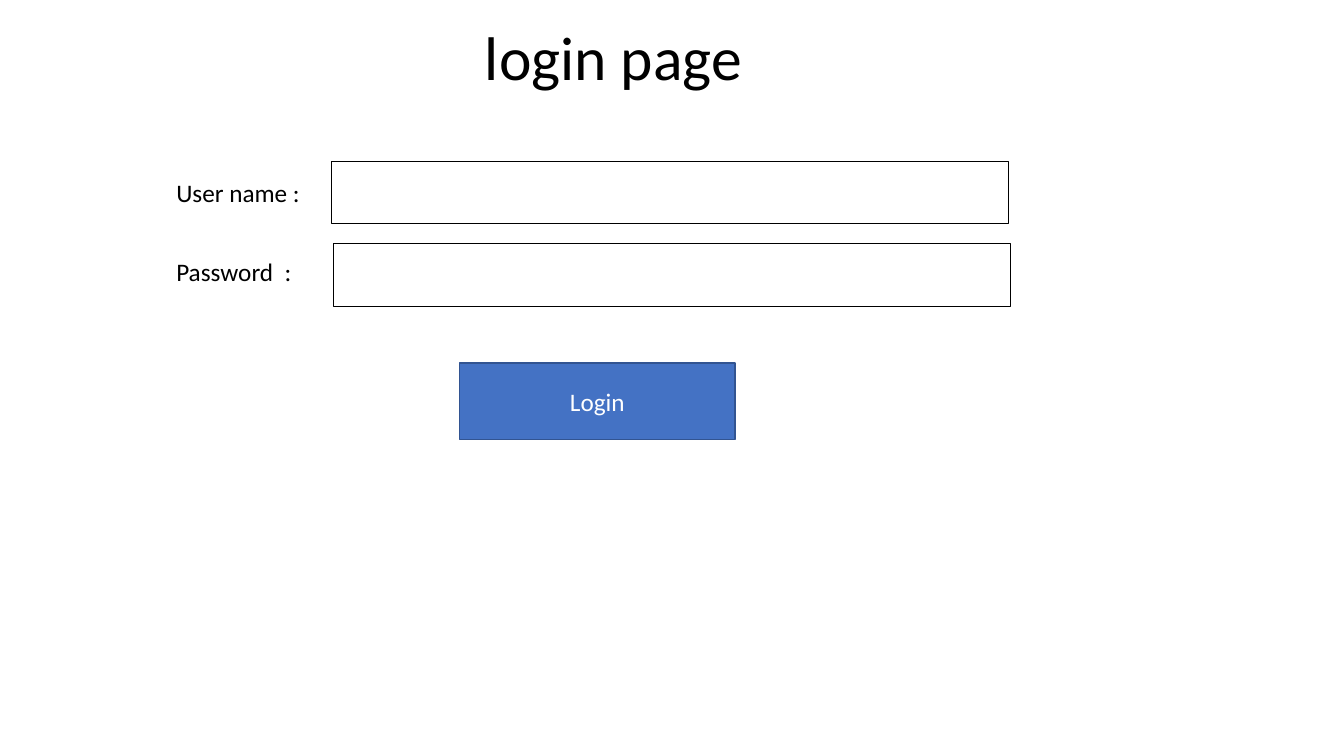
from pptx import Presentation
from pptx import util as u
from pptx.dml.color import RGBColor
from pptx.enum import shapes, text

COLORS = {"ink": "000000", "button": "4472C4", "edge": "325491", "paper": "FFFFFF"}

deck = Presentation()
deck.slide_width = u.Inches(13.33)
deck.slide_height = u.Inches(7.5)
page = deck.slides.add_slide(deck.slide_layouts[6])
column = deck.slide_width / 100
row = deck.slide_height / 100


def add_rectangle(left, top, width, height, line, weight):
    box = page.shapes.add_shape(
        shapes.MSO_SHAPE.RECTANGLE,
        int(left * column), int(top * row), int(width * column), int(height * row))
    box.shadow.inherit = False
    box.fill.background()
    box.line.color.rgb = RGBColor.from_string(COLORS[line])
    box.line.width = u.Pt(weight)
    return box


def write(box, words, size, color):
    box.text_frame.word_wrap = True
    para = box.text_frame.paragraphs[0]
    span = para.add_run()
    span.text = words
    span.font.name = "Calibri"
    span.font.size = u.Pt(size)
    span.font.color.rgb = RGBColor.from_string(COLORS[color])
    return para


title = page.shapes.add_textbox(
    int(11.48 * column), int(-1.6 * row), int(86.27 * column), int(19.33 * row))
title.text_frame.margin_left = int(24.6 * column)
title.text_frame.vertical_anchor = text.MSO_ANCHOR.MIDDLE
write(title, "login page", 44, "ink").line_spacing = 0.9

fields = [("User name :", 22.8, 24.68, 21.33), ("Password  :", 33.2, 24.83, 32.27)]
for words, label_top, field_left, field_top in fields:
    add_rectangle(field_left, field_top, 50.34, 8.27, "ink", 0.75)
    label = page.shapes.add_textbox(
        int(12.38 * column), int(label_top * row), int(13.65 * column), int(5.33 * row))
    label.text_frame.auto_size = text.MSO_AUTO_SIZE.SHAPE_TO_FIT_TEXT
    write(label, words, 18, "ink")

button = add_rectangle(34.21, 48, 20.48, 10.13, "edge", 1)
button.fill.solid()
button.fill.fore_color.rgb = RGBColor.from_string(COLORS["button"])
button.text_frame.vertical_anchor = text.MSO_ANCHOR.MIDDLE
write(button, "Login", 18, "paper").alignment = text.PP_ALIGN.CENTER

deck.save("out.pptx")
